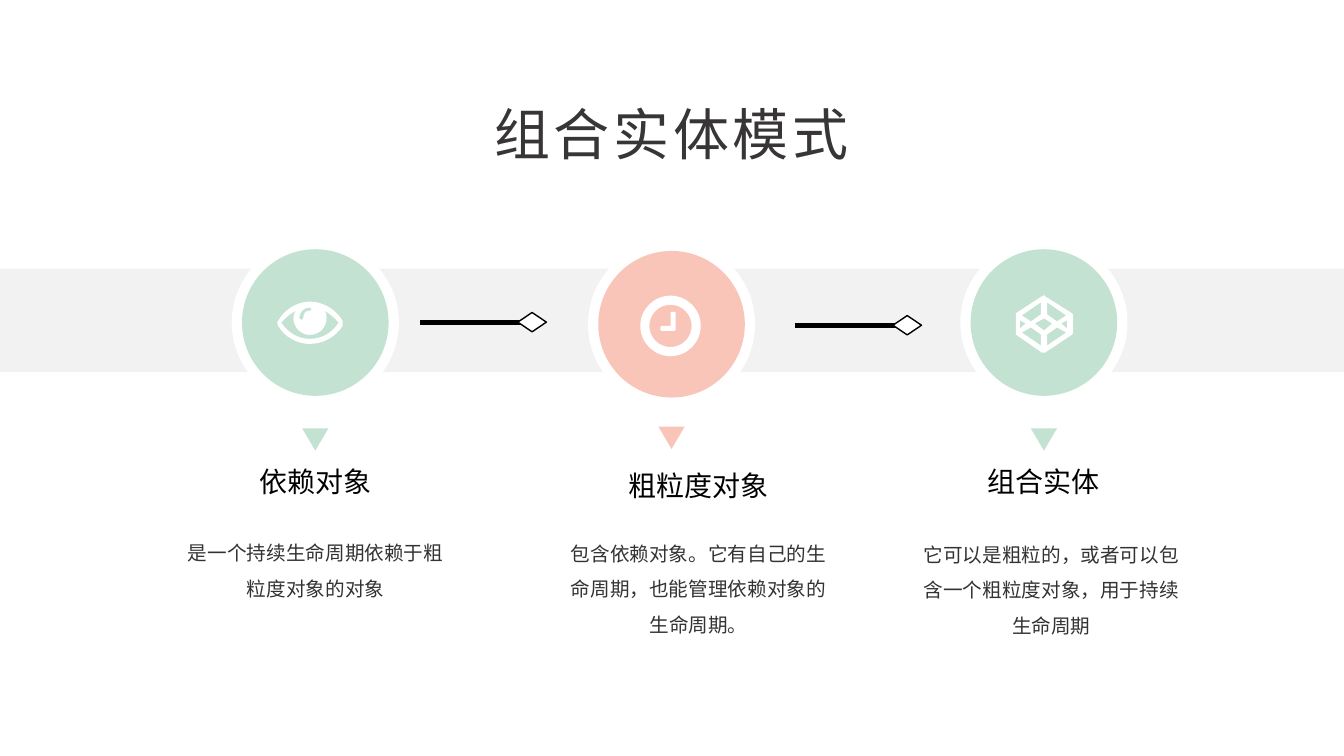
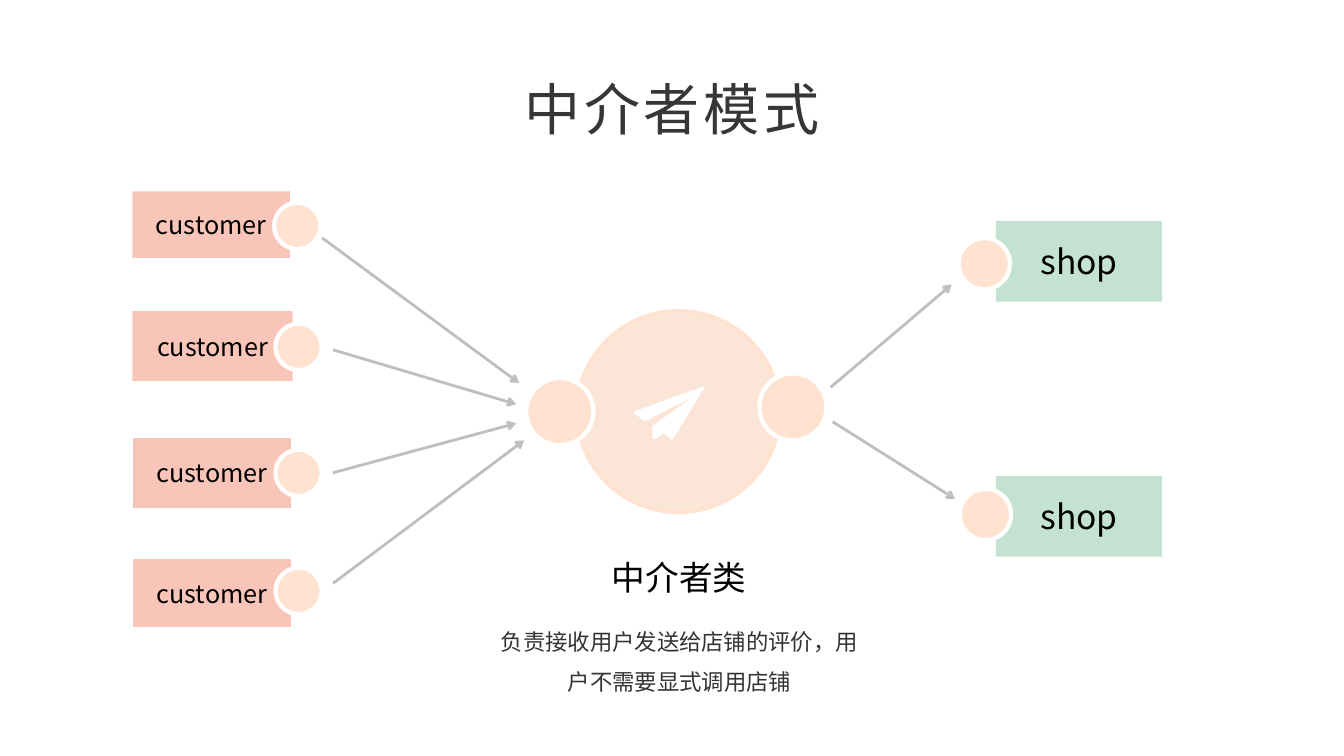
from dataclasses import dataclass
from typing import NamedTuple

from lxml import etree
from pptx import Presentation, util as u
from pptx.dml.color import RGBColor
from pptx.enum import shapes, text
from pptx.oxml import ns

# The slide is a grid of 160 columns and 90 rows.
COLS, ROWS = 160, 90
CELL = u.Inches(7.5) // ROWS
FINE = 100  # steps within one icon unit
UNIT = CELL * 0.12 / FINE  # an icon unit is 0.12 cells

WHITE = RGBColor(0xFF, 0xFF, 0xFF)
BLACK = RGBColor(0x00, 0x00, 0x00)
INK = RGBColor(0x37, 0x35, 0x36)
BODY = RGBColor(0x33, 0x33, 0x33)
BAND = RGBColor(0xF2, 0xF2, 0xF2)
MINT = RGBColor(0xC3, 0xE2, 0xD2)
ROSE = RGBColor(0xF9, 0xC5, 0xB8)
DUSK = RGBColor(0xE8, 0xC4, 0xBA)
PEACH = RGBColor(0xFF, 0xE2, 0xCF)
CREAM = RGBColor(0xFB, 0xE5, 0xD6)
GREY = RGBColor(0xBF, 0xBF, 0xBF)

HAN = "Noto Sans CJK SC"
KIND = shapes.MSO_SHAPE
Point = tuple[float, float]


class Style(NamedTuple):
    size: float
    color: RGBColor = BLACK
    name: str = HAN
    pitch: float = 1.0
    track: float = 0


TITLE = Style(40, INK, track=2.7)
HEAD = Style(20)
NOTE = Style(14, BODY, "Arial", 1.5)
CLASS = Style(24)
ROLE = Style(16, BODY, pitch=1.5)
BUYER = Style(18)


class Curve(list):
    """Knots of joined cubic curves: a start, then three for each."""


@dataclass
class Icon:
    x: float
    y: float
    loops: list[list[Point]]


@dataclass
class Stage:
    """One step on the band, with the centre and top of each text."""
    x: float
    y: float
    tip: float
    color: RGBColor
    icon: Icon
    head: str
    headx: float
    heady: float
    note: str
    notex: float
    notey: float


@dataclass
class Node:
    """A labelled box with a round port at dotx, doty."""
    x: float
    y: float
    w: float
    h: float
    dotx: float
    doty: float
    edge: RGBColor | None = None


def grid(*cells: float) -> list[int]:
    return [round(c * CELL) for c in cells]


def write(frame, words: str, style: Style) -> None:
    para = frame.paragraphs[0]
    para.alignment = text.PP_ALIGN.CENTER
    para.line_spacing = style.pitch
    run = para.add_run()
    run.text = words
    form = {"size": u.Pt(style.size), "name": style.name}
    for key, value in form.items():
        setattr(run.font, key, value)
    run.font.color.rgb = style.color
    props = run.font._element
    if style.track:
        props.set("spc", str(round(style.track * 100)))
    etree.SubElement(props, ns.qn("a:ea")).set("typeface", HAN)


def label(slide, words: str, style: Style, mid: float, top: float,
          w: float, h: float) -> None:
    """Text centred on column mid."""
    frame = slide.shapes.add_textbox(*grid(mid - w / 2, top, w, h)).text_frame
    form = {"word_wrap": True, "margin_left": 0, "margin_right": 0,
            "margin_top": 0, "margin_bottom": 0}
    for key, value in form.items():
        setattr(frame, key, value)
    write(frame, words, style)


def paint(shape, fill: RGBColor, edge: RGBColor | None = None,
          width: float = 1) -> None:
    shape.shadow.inherit = False
    shape.fill.solid()
    shape.fill.fore_color.rgb = fill
    if edge is None:
        shape.line.fill.background()
    else:
        shape.line.color.rgb = edge
        shape.line.width = u.Pt(width)


def block(slide, kind, x: float, y: float, w: float, h: float,
          fill: RGBColor, edge: RGBColor | None = None, width: float = 1):
    shape = slide.shapes.add_shape(kind, *grid(x, y, w, h))
    paint(shape, fill, edge, width)
    return shape


def disc(slide, x: float, y: float, size: float, fill: RGBColor) -> None:
    """Borderless circle around a centre."""
    block(slide, KIND.OVAL, x - size / 2, y - size / 2, size, size, fill)


def port(slide, x: float, y: float, size: float) -> None:
    block(slide, KIND.OVAL, x, y, size, size, PEACH, WHITE, 3)


def wire(slide, start: Point, end: Point, color: RGBColor, width: float,
         arrow: bool = False) -> None:
    line = slide.shapes.add_connector(
        shapes.MSO_CONNECTOR.STRAIGHT, *grid(*start, *end))
    line.line.color.rgb = color
    line.line.width = u.Pt(width)
    props = line._element.spPr
    if arrow:
        tail = etree.SubElement(props.find(ns.qn("a:ln")), ns.qn("a:tailEnd"))
        tail.set("type", "arrow")
    etree.SubElement(props, ns.qn("a:effectLst"))


def ring(mid: float, r: float) -> Curve:
    """Circle of four cubic curves."""
    k = 0.55 * r
    knots = [(r, 0), (r, k), (k, r), (0, r), (-k, r), (-r, k), (-r, 0),
             (-r, -k), (-k, -r), (0, -r), (k, -r), (r, -k), (r, 0)]
    return Curve((mid + x, mid + y) for x, y in knots)


def bend(shape, loops: list[list[Point]]) -> None:
    """Turn each three lines of a Curve into one cubic curve."""
    track = next(shape._element.iter(ns.qn("a:path")))
    queue = iter(loops)
    loop, count, arc = None, 0, None
    for node in list(track):
        if node.tag == ns.qn("a:moveTo"):
            loop, count = next(queue), 0
        elif node.tag == ns.qn("a:lnTo") and isinstance(loop, Curve):
            if count % 3 == 0:
                arc = etree.Element(ns.qn("a:cubicBezTo"))
                node.addprevious(arc)
            arc.append(node[0])
            track.remove(node)
            count += 1


def draw(slide, icon: Icon, color: RGBColor = WHITE) -> None:
    """Outline whose inner loops are holes."""
    pen = None
    for loop in icon.loops:
        first, *rest = [(x * FINE, y * FINE) for x, y in loop]
        if pen is None:
            pen = slide.shapes.build_freeform(*first, scale=UNIT)
        else:
            pen.move_to(*first)
        pen.add_line_segments(rest, close=True)
    shape = pen.convert_to_shape(*grid(icon.x, icon.y))
    bend(shape, icon.loops)
    paint(shape, color)


EYE = Icon(33, 35.9, [
    Curve([(65, 24), (58, 35), (46, 42), (32, 42), (20, 42), (7, 35), (1, 24),
           (1, 23), (0, 22), (0, 21), (0, 20), (1, 19), (1, 19),
           (7, 8), (20, 0), (32, 0), (46, 0), (58, 8), (65, 19),
           (65, 19), (65, 20), (65, 21), (65, 22), (65, 23), (65, 24)]),
    Curve([(47, 9), (49, 11), (49, 13), (49, 16), (49, 26), (42, 33), (32, 33),
           (24, 33), (16, 26), (16, 16), (16, 13), (17, 11), (19, 9),
           (13, 12), (8, 16), (4, 21), (11, 31), (21, 37), (32, 37),
           (45, 37), (54, 31), (61, 21), (57, 16), (52, 12), (47, 9)]),
    Curve([(32, 6), (26, 6), (22, 11), (22, 16), (22, 17), (23, 18), (24, 18),
           (25, 18), (26, 17), (26, 16), (26, 12), (28, 9), (32, 9),
           (33, 9), (34, 9), (34, 8), (34, 7), (33, 6), (32, 6)])])
CLOCK = Icon(76.23, 35.2, [
    ring(30, 30), ring(30, 21),
    [(35, 34), (34, 35), (21, 35), (20, 34), (20, 31), (21, 30), (30, 30),
     (30, 17), (31, 16), (34, 16), (35, 17)]])
CUBE = Icon(120.93, 35.15, [
    [(57, 37), (56, 39), (29, 57), (26, 57), (0, 39), (0, 18),
     (26, 1), (28, 0), (29, 1), (56, 18), (57, 20)],
    [(10, 28), (4, 25), (4, 33)],
    [(25, 19), (25, 7), (6, 20), (15, 26)],
    [(25, 50), (25, 39), (15, 32), (6, 37)],
    [(36, 28), (28, 23), (19, 28), (28, 35)],
    [(50, 20), (31, 7), (31, 19), (41, 26)],
    [(50, 37), (41, 32), (31, 39), (31, 50)],
    [(51, 33), (51, 25), (45, 28)]])
PLANE = Icon(75.5, 45.95, [
    [(70, 0), (70, 1), (39, 52), (38, 53), (37, 53), (29, 47), (20, 53),
     (19, 53), (18, 52), (18, 40), (58, 11), (11, 35), (1, 28), (0, 27),
     (0, 26), (1, 25)]])
TIP = [(13, 22), (26, 0), (0, 0)]

STAGES = [
    Stage(37.54, 38.4, 51, MINT, EYE, "依赖对象", 37.6, 55.3,
          "是一个持续生命周期依赖于粗粒度对象的对象", 37.58, 63.05),
    Stage(79.95, 38.6, 50.8, ROSE, CLOCK, "粗粒度对象", 83.13, 55.8,
          "包含依赖对象。它有自己的生命周期，也能管理依赖对象的生命周期。",
          83.16, 63.12),
    Stage(124.28, 38.4, 51, MINT, CUBE, "组合实体", 124.2, 55.3,
          "它可以是粗粒的，或者可以包含一个粗粒度对象，用于持续生命周期",
          125.16, 63.25)]
LINKS = [(50, 38.35), (94.66, 38.72)]

BUYERS = [Node(15.75, 22.8, 18.75, 7.9, 32.65, 24.15),
          Node(15.75, 37.05, 19.1, 8.3, 32.8, 38.55),
          Node(15.87, 52.2, 18.75, 8.2, 32.8, 53.55, DUSK),
          Node(15.87, 66.67, 18.75, 7.95, 32.8, 67.6, ROSE)]
SHOPS = [Node(118.57, 26.3, 19.8, 9.63, 114.13, 28.35),
         Node(118.57, 56.65, 19.8, 9.63, 114.27, 58.2)]
ROUTES = [((38.35, 28.32), (61.8, 45.6)), ((39.65, 41.65), (61.45, 48.12)),
          ((39.65, 56.28), (61.45, 50.4)), ((39.65, 69.45), (62.4, 52.42)),
          ((98.9, 46.1), (113.3, 33.87)), ((99.12, 50.2), (113.7, 59.4))]


def page(deck, title: str, mid: float, top: float):
    slide = deck.slides.add_slide(deck.slide_layouts[6])
    block(slide, KIND.RECTANGLE, 3.84, 3.6, 152, 83.5, WHITE, WHITE)
    label(slide, title, TITLE, mid, top, 48, 8)
    return slide


def entity(deck) -> None:
    slide = page(deck, "组合实体模式", 79.95, 11.9)
    block(slide, KIND.RECTANGLE, 0, 31.97, COLS, 12.35, BAND)
    for s in STAGES:
        draw(slide, Icon(s.x - 1.56, s.tip, [TIP]), s.color)
        disc(slide, s.x, s.y, 19.9, WHITE)
        disc(slide, s.x, s.y, 17.45, s.color)
        draw(slide, s.icon)
        label(slide, s.head, HEAD, s.headx, s.heady, 20, 4)
        label(slide, s.note, NOTE, s.notex, s.notey, 32, 12.7)
    for x, y in LINKS:
        wire(slide, (x, y), (x + 13, y), BLACK, 3.5)
        block(slide, KIND.DIAMOND, x + 11.65, y - 1.15, 3.4, 2.3, WHITE, BLACK)


def broker(deck) -> None:
    slide = page(deck, "中介者模式", 80, 8.9)
    groups = [(BUYERS, "customer", BUYER, ROSE, 5.5),
              (SHOPS, "shop", CLASS, MINT, 6.1)]
    for nodes, name, style, color, size in groups:
        for n in nodes:
            box = block(slide, KIND.RECTANGLE, n.x, n.y, n.w, n.h, color,
                        n.edge)
            box.text_frame.vertical_anchor = text.MSO_ANCHOR.MIDDLE
            write(box.text_frame, name, style)
            port(slide, n.dotx, n.doty, size)
    block(slide, KIND.OVAL, 68.72, 37.05, 24.1, 23.9, CREAM, PEACH, 3)
    port(slide, 90.4, 44.45, 8)
    port(slide, 62.65, 45, 8)
    draw(slide, PLANE)
    for start, end in ROUTES:
        wire(slide, start, end, GREY, 2, arrow=True)
    label(slide, "中介者类", CLASS, 80.85, 66.28, 20.6, 4.8)
    label(slide, "负责接收用户发送给店铺的评价，用户不需要显式调用店铺", ROLE,
          80.9, 73.2, 45, 8.5)


def main() -> None:
    deck = Presentation()
    deck.slide_width, deck.slide_height = COLS * CELL, ROWS * CELL
    entity(deck)
    broker(deck)
    deck.save("out.pptx")


if __name__ == "__main__":
    main()
